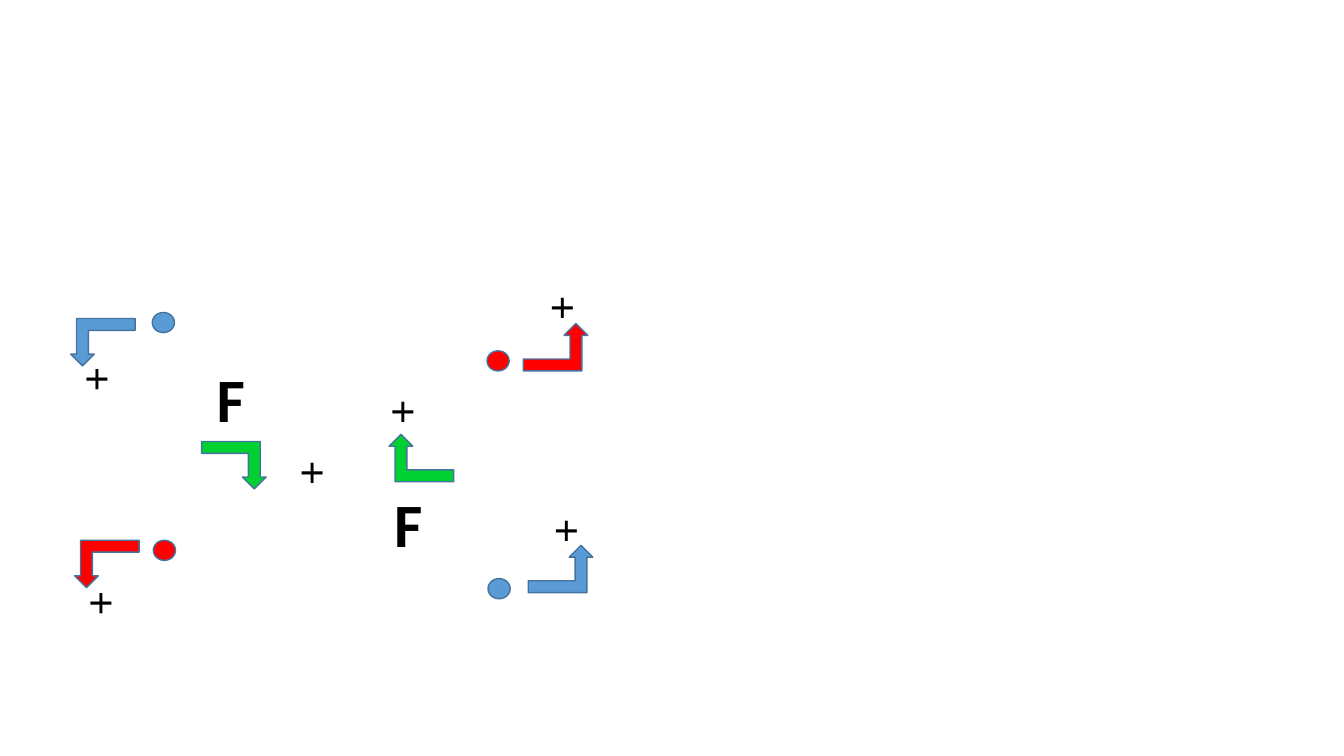
from pptx import Presentation
from pptx.dml.color import RGBColor
from pptx.enum.shapes import MSO_SHAPE
from pptx.enum.text import MSO_AUTO_SIZE, PP_ALIGN
from pptx.util import Inches, Pt

COLORS = {
    "blue": "5B9BD5",
    "red": "FF0000",
    "green": "01D033",
    "outline": "43739E",
    "text": "000000",
}

deck = Presentation()
deck.slide_width, deck.slide_height = Inches(13.33), Inches(7.5)
page = deck.slides.add_slide(deck.slide_layouts[6])


def add_marker(group, kind, left, top, width, height, color, rotation):
    shape = group.shapes.add_shape(
        kind, Inches(left), Inches(top), Inches(width), Inches(height))
    shape.rotation = rotation
    shape.shadow.inherit = False
    shape.fill.solid()
    shape.fill.fore_color.rgb = RGBColor.from_string(COLORS[color])
    shape.line.color.rgb = RGBColor.from_string(COLORS["outline"])
    shape.line.width = Pt(1)
    return shape


def add_label(group, text, left, top, width, height, size, rotation=0):
    box = group.shapes.add_textbox(
        Inches(left), Inches(top), Inches(width), Inches(height))
    box.rotation = rotation
    frame = box.text_frame
    frame.text = text
    frame.word_wrap = text == "F"
    frame.auto_size = MSO_AUTO_SIZE.SHAPE_TO_FIT_TEXT
    span = frame.paragraphs[0].runs[0]
    span.font.name = "Calibri"
    span.font.size = Pt(size)
    span.font.bold = text == "F"
    span.font.color.rgb = RGBColor.from_string(COLORS["text"])
    return box


# Each half: dot turn, arrow turn, dots, arrows, plus signs, F position
right_half = (
    270, 0,
    [("blue", 4.85, 5.73), ("red", 4.84, 3.47)],
    [("blue", 5.24, 5.41), ("red", 5.19, 3.21), ("green", 3.86, 4.31)],
    [(5.37, 4.94, 270), (5.33, 2.73, 270), (3.75, 3.78, 270)],
    (3.81, 4.77),
)
left_half = (
    90, 180,
    [("blue", 1.52, 3.09), ("red", 1.53, 5.35)],
    [("blue", 0.7, 3.16), ("red", 0.74, 5.36), ("green", 2, 4.38)],
    [(0.78, 3.45, 90), (0.82, 5.67, 90), (2.85, 4.37, 270)],
    (2.05, 3.53),
)

for dot_turn, arrow_turn, dots, arrows, pluses, force in (right_half, left_half):
    group = page.shapes.add_group_shape()

    # Dots
    for color, left, top in dots:
        add_marker(group, MSO_SHAPE.OVAL, left, top, 0.2, 0.22, color, dot_turn)

    # Bent arrows, the green ones mirrored
    for color, left, top in arrows:
        arrow = add_marker(group, MSO_SHAPE.BENT_UP_ARROW, left, top,
                           0.64, 0.47, color, arrow_turn)
        if color == "green":
            arrow._element.spPr.xfrm.set("flipH", "1")

    # Plus signs and the force label
    for left, top, turn in pluses:
        plus = add_label(group, "+", left, top, 0.43, 0.64, 32, turn)
        if (left, top) == (3.75, 3.78):
            plus.text_frame.paragraphs[0].alignment = PP_ALIGN.RIGHT
    add_label(group, "F", *force, 0.74, 0.84, 44)

deck.save("out.pptx")
